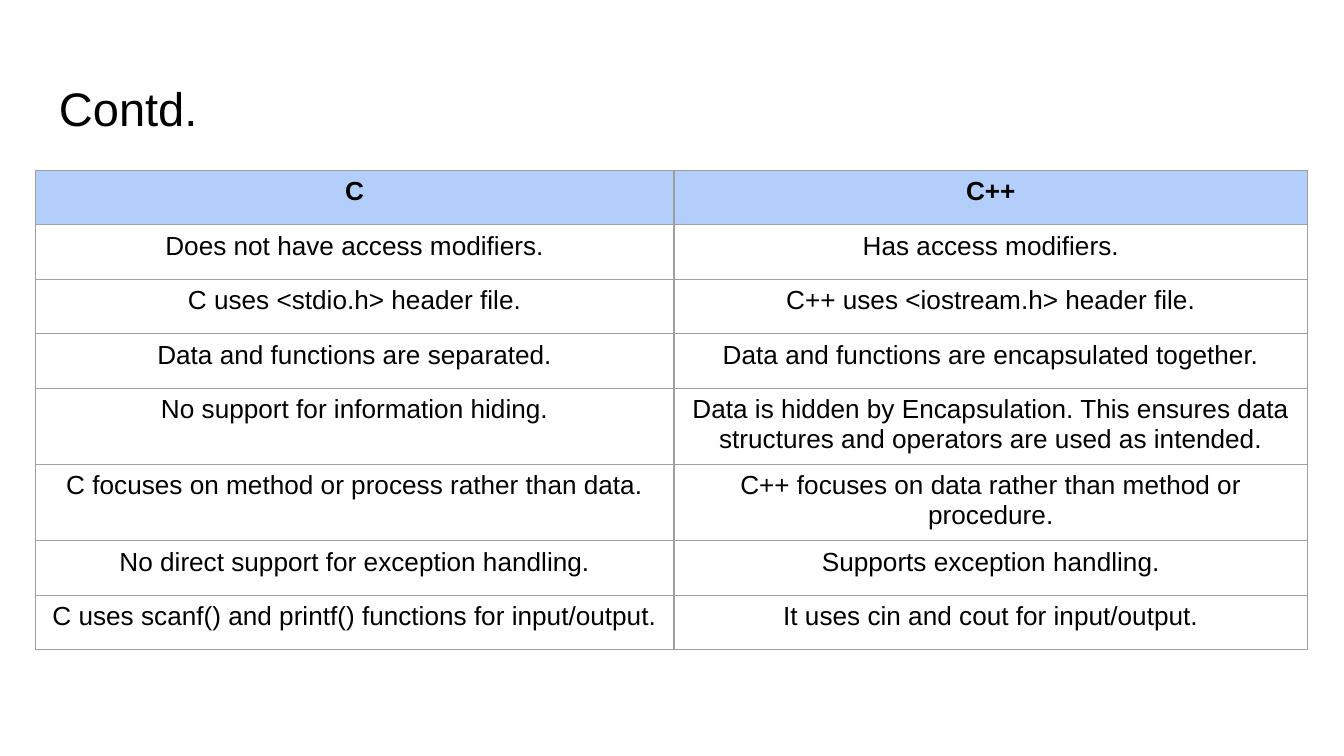
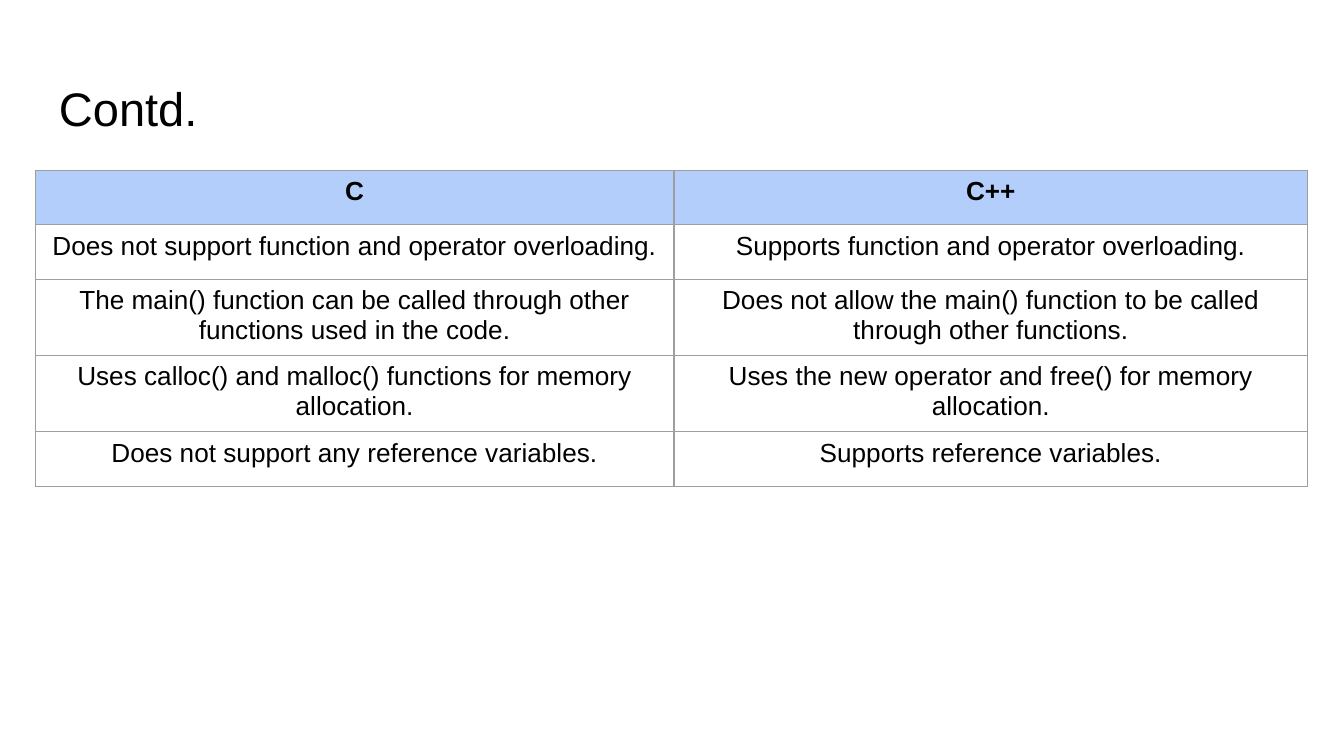
import pptx
import pptx.dml.color
import pptx.enum.text
import pptx.oxml
import pptx.oxml.ns
import pptx.util

Pt = pptx.util.Pt
BLACK = "000000"
HEADER_BLUE = "B3CEFB"
BORDER_GRAY = "9E9E9E"
FONT = "Arial"
COLUMN_WIDTHS = [342.2, 339.4]
ROW_HEIGHT = 29.2
HEADER = ("C", "C++")

comparisons = [
    [
        ("Does not have access modifiers.", "Has access modifiers."),
        ("C uses <stdio.h> header file.", "C++ uses <iostream.h> header file."),
        ("Data and functions are separated.", "Data and functions are encapsulated together."),
        ("No support for information hiding.",
         "Data is hidden by Encapsulation. This ensures data structures and operators are used as intended."),
        ("C focuses on method or process rather than data.",
         "C++ focuses on data rather than method or procedure."),
        ("No direct support for exception handling.", "Supports exception handling."),
        ("C uses scanf() and printf() functions for input/output.",
         "It uses cin and cout for input/output."),
    ],
    [
        ("Does not support function and operator overloading.",
         "Supports function and operator overloading."),
        ("The main() function can be called through other functions used in the code.",
         "Does not allow the main() function to be called through other functions."),
        ("Uses calloc() and malloc() functions for memory allocation.",
         "Uses the new operator and free() for memory allocation."),
        ("Does not support any reference variables.", "Supports reference variables."),
    ],
]


def color(value):
    return pptx.dml.color.RGBColor.from_string(value)


def write(text_frame, text, size, bold=False):
    text_frame.text = text
    font = text_frame.paragraphs[0].runs[0].font
    font.name = FONT
    font.size = Pt(size)
    font.bold = bold
    font.color.rgb = color(BLACK)


presentation = pptx.Presentation()
presentation.slide_width = Pt(720)
presentation.slide_height = Pt(405)

for comparison in comparisons:
    slide = presentation.slides.add_slide(presentation.slide_layouts[6])

    title = slide.shapes.add_textbox(Pt(24.5), Pt(35.4), Pt(671), Pt(45.1))
    title_frame = title.text_frame
    title_frame.word_wrap = True
    title_frame.vertical_anchor = pptx.enum.text.MSO_ANCHOR.TOP
    title_frame.margin_left = title_frame.margin_right = Pt(7.2)
    title_frame.margin_top = title_frame.margin_bottom = Pt(7.2)
    write(title_frame, "Contd.", 25.2)

    rows = [HEADER] + comparison
    table = slide.shapes.add_table(
        len(rows), len(HEADER), Pt(18.9), Pt(91.2),
        Pt(sum(COLUMN_WIDTHS)), Pt(ROW_HEIGHT * len(rows))
    ).table
    table.first_row = False
    table.horz_banding = False
    for column, width in zip(table.columns, COLUMN_WIDTHS):
        column.width = Pt(width)

    for row_index, row in enumerate(rows):
        table.rows[row_index].height = Pt(ROW_HEIGHT)
        is_header = row_index == 0
        for column_index, text in enumerate(row):
            cell = table.cell(row_index, column_index)
            write(cell.text_frame, text, 14, is_header)
            cell.text_frame.paragraphs[0].alignment = pptx.enum.text.PP_ALIGN.CENTER
            cell_properties = cell._tc.get_or_add_tcPr()
            for side in ("lnL", "lnR", "lnT", "lnB"):
                cell_properties.append(pptx.oxml.parse_xml(
                    f'<a:{side} {pptx.oxml.ns.nsdecls("a")} w="{Pt(0.75)}"><a:solidFill>'
                    f'<a:srgbClr val="{BORDER_GRAY}"/></a:solidFill></a:{side}>'))
            if is_header:
                cell.fill.solid()
                cell.fill.fore_color.rgb = color(HEADER_BLUE)
            else:
                cell.fill.background()

presentation.save("out.pptx")
